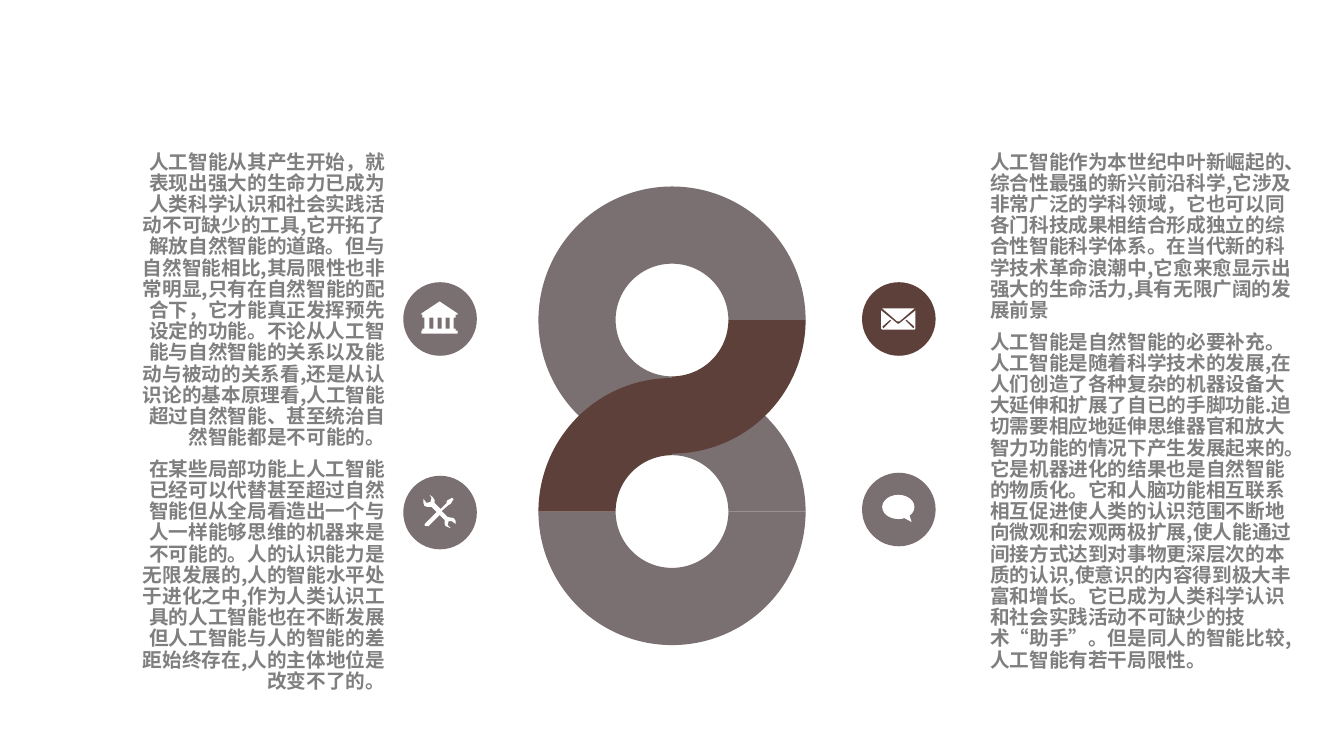
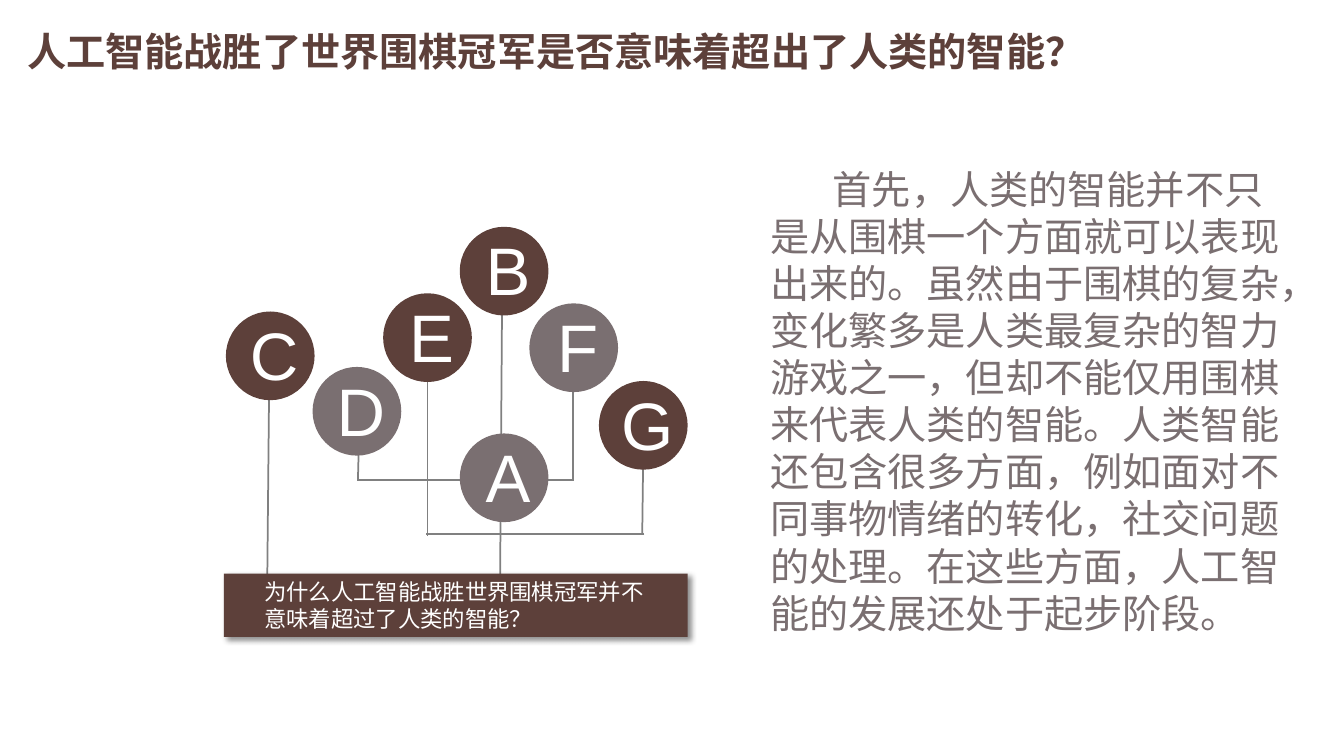
import pptx
import pptx.util
import pptx.dml.color
import pptx.enum.shapes
import pptx.enum.text
import pptx.oxml
import pptx.oxml.ns
from lxml import etree

Inches = pptx.util.Inches
Pt = pptx.util.Pt
SHAPE = pptx.enum.shapes.MSO_SHAPE
ALIGN = pptx.enum.text.PP_ALIGN
ANCHOR = pptx.enum.text.MSO_ANCHOR
AUTO = pptx.enum.text.MSO_AUTO_SIZE
qn = pptx.oxml.ns.qn

BROWN, GREY, BODY, LINE, WHITE = "5D403A", "7A6F71", "7F7F7F", "808080", "FFFFFF"
CJK = "Noto Sans CJK SC"
TITLE_FONT = "Montserrat"

LEFT_TEXT = [
    "人工智能从其产生开始，就表现出强大的生命力已成为人类科学认识和社会实践活动不可缺少的工具,它开拓了解放自然智能的道路。但与自然智能相比,其局限性也非常明显,只有在自然智能的配合下，它才能真正发挥预先设定的功能。不论从人工智能与自然智能的关系以及能动与被动的关系看,还是从认识论的基本原理看,人工智能超过自然智能、甚至统治自然智能都是不可能的。",
    "在某些局部功能上人工智能已经可以代替甚至超过自然智能但从全局看造出一个与人一样能够思维的机器来是不可能的。人的认识能力是无限发展的,人的智能水平处于进化之中,作为人类认识工具的人工智能也在不断发展但人工智能与人的智能的差距始终存在,人的主体地位是改变不了的。",
]
RIGHT_TEXT = [
    "人工智能作为本世纪中叶新崛起的、综合性最强的新兴前沿科学,它涉及非常广泛的学科领域，它也可以同各门科技成果相结合形成独立的综合性智能科学体系。在当代新的科学技术革命浪潮中,它愈来愈显示出强大的生命活力,具有无限广阔的发展前景",
    "人工智能是自然智能的必要补充。人工智能是随着科学技术的发展,在人们创造了各种复杂的机器设备大大延伸和扩展了自已的手脚功能.迫切需要相应地延伸思维器官和放大智力功能的情况下产生发展起来的。它是机器进化的结果也是自然智能的物质化。它和人脑功能相互联系相互促进使人类的认识范围不断地向微观和宏观两极扩展,使人能通过间接方式达到对事物更深层次的本质的认识,使意识的内容得到极大丰富和增长。它已成为人类科学认识和社会实践活动不可缺少的技术“助手”。但是同人的智能比较,人工智能有若干局限性。",
]
TITLE = "人工智能战胜了世界围棋冠军是否意味着超出了人类的智能？"
BANNER = "为什么人工智能战胜世界围棋冠军并不意味着超过了人类的智能？"
ANSWER = "首先，人类的智能并不只是从围棋一个方面就可以表现出来的。虽然由于围棋的复杂，变化繁多是人类最复杂的智力游戏之一，但却不能仅用围棋来代表人类的智能。人类智能还包含很多方面，例如面对不同事物情绪的转化，社交问题的处理。在这些方面，人工智能的发展还处于起步阶段。"

BANK = [
    [(452, 315), (452, 312), (454, 312), (454, 311), (436, 299), (418, 311), (418, 312),
     (419, 312), (419, 315), (421, 315), (421, 326), (419, 326), (419, 328), (418, 328),
     (418, 331), (454, 331), (454, 328), (452, 328), (452, 326), (450, 326), (450, 315)],
] + [[(x, 315), (x + 4, 315), (x + 4, 326), (x, 326)] for x in (426, 434, 442)]
TOOLS = [
    [(450, 514), (444, 513), (438, 507), (445, 501), (447, 500), (450, 495), (448, 494),
     (443, 497), (443, 499), (437, 505), (431, 499), (431, 496), (429, 493), (426, 491),
     (428, 494), (427, 498), (423, 499), (420, 495), (420, 499), (421, 502), (424, 503),
     (428, 503), (433, 508), (422, 519), (421, 521), (422, 522), (425, 522), (436, 511),
     (441, 516), (441, 520), (442, 522), (447, 524), (444, 521), (445, 517), (448, 517),
     (452, 520), (452, 517)],
]
FLAP = [[(875, 306), (890, 319), (892, 319), (907, 306)]]
SLIT = [(884, 318), (876, 326), (875, 324), (883, 317)]
ENVELOPE = [
    [(892, 321), (890, 321), (874, 308), (874, 326), (875, 327), (907, 327), (908, 326), (908, 308)],
    SLIT,
    [(1782 - x, y) for x, y in SLIT],
]


def rgb(value):
    return pptx.dml.color.RGBColor.from_string(value)


def paint(sp, fill):
    sp.fill.solid()
    sp.fill.fore_color.rgb = rgb(fill)
    sp.line.fill.background()
    sp.shadow.inherit = False


def write(tf, texts, size, color, font=CJK, bold=False, align=ALIGN.LEFT,
          spacing=1, before=0, indent=0):
    for i, text in enumerate(texts):
        p = tf.add_paragraph() if i else tf.paragraphs[0]
        p.text = text
        p.alignment = align
        p.line_spacing = spacing
        p.space_before = Pt(before if i else 0)
        if indent:
            p._p.get_or_add_pPr().set("indent", str(Inches(indent)))
        p.font.size = Pt(size)
        p.font.bold = bold
        p.font.color.rgb = rgb(color)
        p.font.name = font
        etree.SubElement(p._p.pPr.find(qn("a:defRPr")), qn("a:ea"), typeface=font)


def set_margins(tf, left, top, right, bottom):
    tf.margin_left, tf.margin_top = Inches(left), Inches(top)
    tf.margin_right, tf.margin_bottom = Inches(right), Inches(bottom)


def add_text(slide, box, texts, margins, **style):
    tf = slide.shapes.add_textbox(*map(Inches, box)).text_frame
    tf.word_wrap = True
    set_margins(tf, *margins)
    write(tf, texts, **style)


def add_preset(slide, kind, box, fill):
    sp = slide.shapes.add_shape(kind, *map(Inches, box))
    paint(sp, fill)
    return sp


def add_circle(slide, left, top, size, fill):
    return add_preset(slide, SHAPE.OVAL, (left, top, size, size), fill)


def add_arc(slide, top, start, end, fill):
    sp = add_preset(slide, SHAPE.BLOCK_ARC, (5.34, top, 2.65, 2.65), fill)
    for i, value in enumerate((start * 0.6, end * 0.6, 0.289)):
        sp.adjustments[i] = value


def add_icon(slide, contours):
    (x, y), *rest = contours[0]
    fb = slide.shapes.build_freeform(x, y, scale=Inches(0.01))
    fb.add_line_segments(rest)
    for start, *others in contours[1:]:
        fb.move_to(*start)
        fb.add_line_segments(others)
    paint(fb.convert_to_shape(), WHITE)


def add_line(slide, ends):
    cn = slide.shapes.add_connector(pptx.enum.shapes.MSO_CONNECTOR.STRAIGHT, *map(Inches, ends))
    cn.line.color.rgb = rgb(LINE)
    cn.line.width = Pt(1.25)
    etree.SubElement(cn._element.spPr, qn("a:effectLst"))


def add_letter(slide, letter, left, top, fill):
    tf = add_circle(slide, left, top, 0.88, fill).text_frame
    tf.word_wrap = False
    tf.vertical_anchor = ANCHOR.MIDDLE
    set_margins(tf, 0.08, 0, 0, 0.04)
    write(tf, [letter], 48, WHITE, font="Arial", align=ALIGN.CENTER)


def add_shadow(sp):
    effects = sp._element.spPr.find(qn("a:effectLst"))
    shadow = etree.SubElement(effects, qn("a:outerShdw"), blurRad=str(Pt(4)), dist=str(Pt(3)),
                              dir="2700000", algn="tl", rotWithShape="0")
    color = etree.SubElement(shadow, qn("a:srgbClr"), val="000000")
    etree.SubElement(color, qn("a:alpha"), val="43000")


def add_banner(slide):
    sp = add_preset(slide, SHAPE.RECTANGLE, (2.22, 5.69, 4.6, 0.63), BROWN)
    add_shadow(sp)
    tf = sp.text_frame
    tf.word_wrap = True
    tf.vertical_anchor = ANCHOR.MIDDLE
    set_margins(tf, 0.4, 0, 0.39, 0)
    write(tf, [BANNER], 16, WHITE)


def set_title(slide, text):
    sp = slide.shapes.title
    sp.left, sp.top, sp.width, sp.height = map(Inches, (0.17, 0.17, 11.5, 0.72))
    tf = sp.text_frame
    tf.auto_size = AUTO.NONE
    tf.vertical_anchor = ANCHOR.MIDDLE
    write(tf, [text], 28, BROWN, font=TITLE_FONT, bold=True, spacing=0.9)


def build_figure_eight(prs):
    slide = prs.slides.add_slide(prs.slide_layouts[6])
    style = dict(size=14, color=BODY, bold=True, spacing=0.9, before=7.5)
    add_text(slide, (1.35, 1.51, 2.47, 5.6), LEFT_TEXT, (0, 0, 0, 0), align=ALIGN.RIGHT, **style)
    add_text(slide, (9.82, 1.51, 3.05, 5.2), RIGHT_TEXT, (0, 0, 0, 0), **style)
    for left, top, fill in ((4, 2.8, GREY), (4, 4.72, GREY), (8.55, 2.8, BROWN), (8.55, 4.69, GREY)):
        add_circle(slide, left, top, 0.73, fill)
    upper, lower = 1.85, 3.75
    for top, start, end, fill in (
        (upper, 180, 0, GREY), (lower, 0, 180, GREY),
        (upper, 90, 180, GREY), (lower, 270, 0, GREY),
        (lower, 180, 270, BROWN), (upper, 0, 90, BROWN),
    ):
        add_arc(slide, top, start, end, fill)
    for icon in (BANK, TOOLS, FLAP, ENVELOPE):
        add_icon(slide, icon)
    bubble = add_preset(slide, SHAPE.OVAL_CALLOUT, (8.75, 4.91, 0.32, 0.24), WHITE)
    bubble.adjustments[0], bubble.adjustments[1] = 0.41, 0.62


def build_letter_tree(prs):
    slide = prs.slides.add_slide(prs.slide_layouts[5])
    set_title(slide, TITLE)
    for ends in (
        (4.96, 5.79, 4.98, 2.95), (6.39, 5.3, 4.23, 5.3), (2.65, 5.82, 2.67, 3.79),
        (6.37, 5.3, 6.38, 4.48), (4.24, 5.32, 4.24, 3.62), (5.69, 4.76, 3.54, 4.76),
        (5.68, 4.76, 5.68, 3.7), (3.55, 4.76, 3.56, 4.37),
    ):
        add_line(slide, ends)
    add_banner(slide)
    add_text(slide, (7.51, 1.57, 5.34, 4.84), [ANSWER], (0.13, 0.07, 0.13, 0.07),
             size=28, color=GREY, indent=0.62)
    for letter, left, top, fill in (
        ("A", 4.56, 4.3, GREY), ("B", 4.56, 2.25, BROWN), ("C", 2.24, 3.09, BROWN),
        ("D", 3.1, 3.64, GREY), ("E", 3.8, 2.91, BROWN), ("F", 5.25, 3.01, GREY),
        ("G", 5.94, 3.78, BROWN),
    ):
        add_letter(slide, letter, left, top, fill)


def main():
    prs = pptx.Presentation()
    prs.slide_width, prs.slide_height = Inches(13.33), Inches(7.5)
    build_figure_eight(prs)
    build_letter_tree(prs)
    prs.save("out.pptx")


if __name__ == "__main__":
    main()
